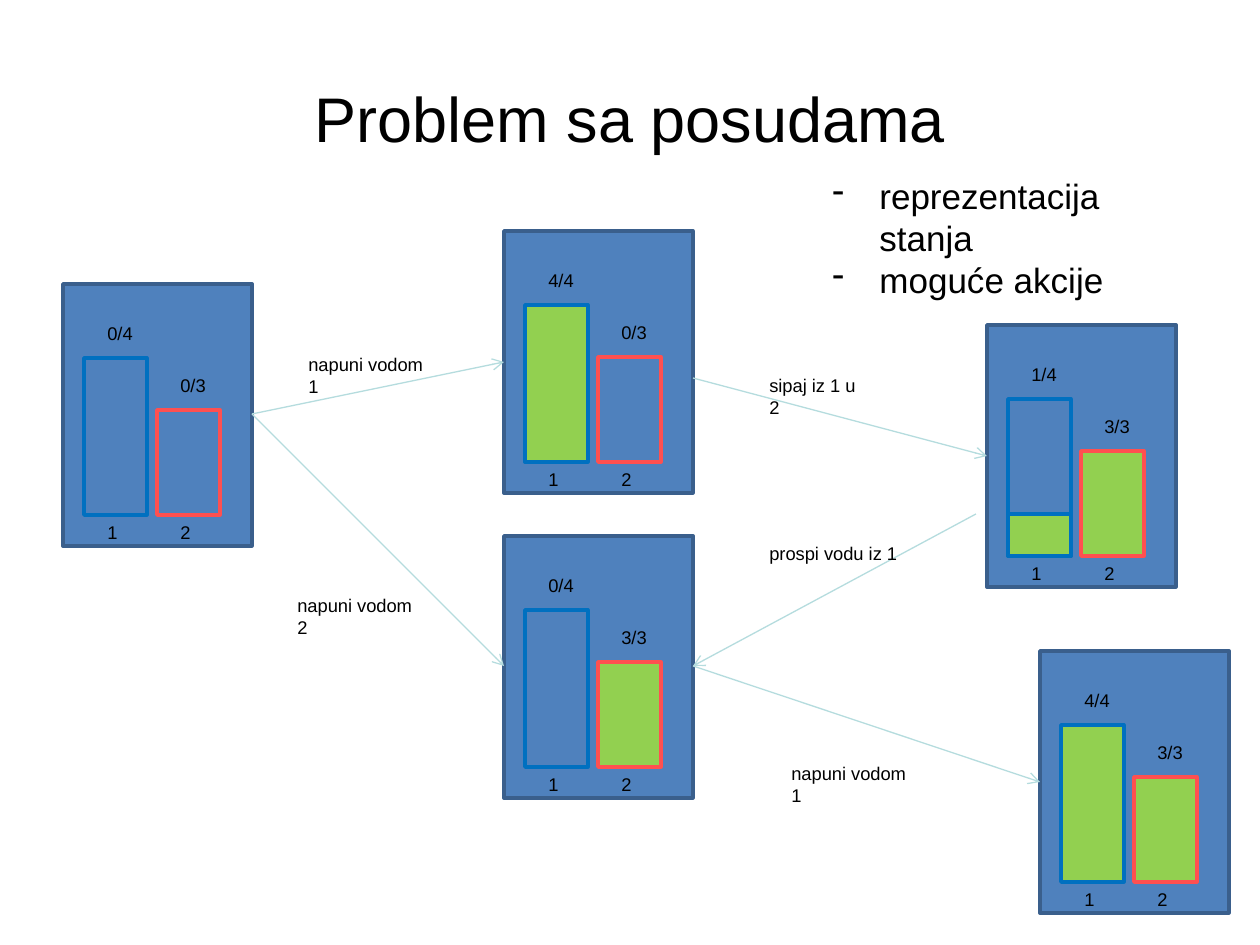
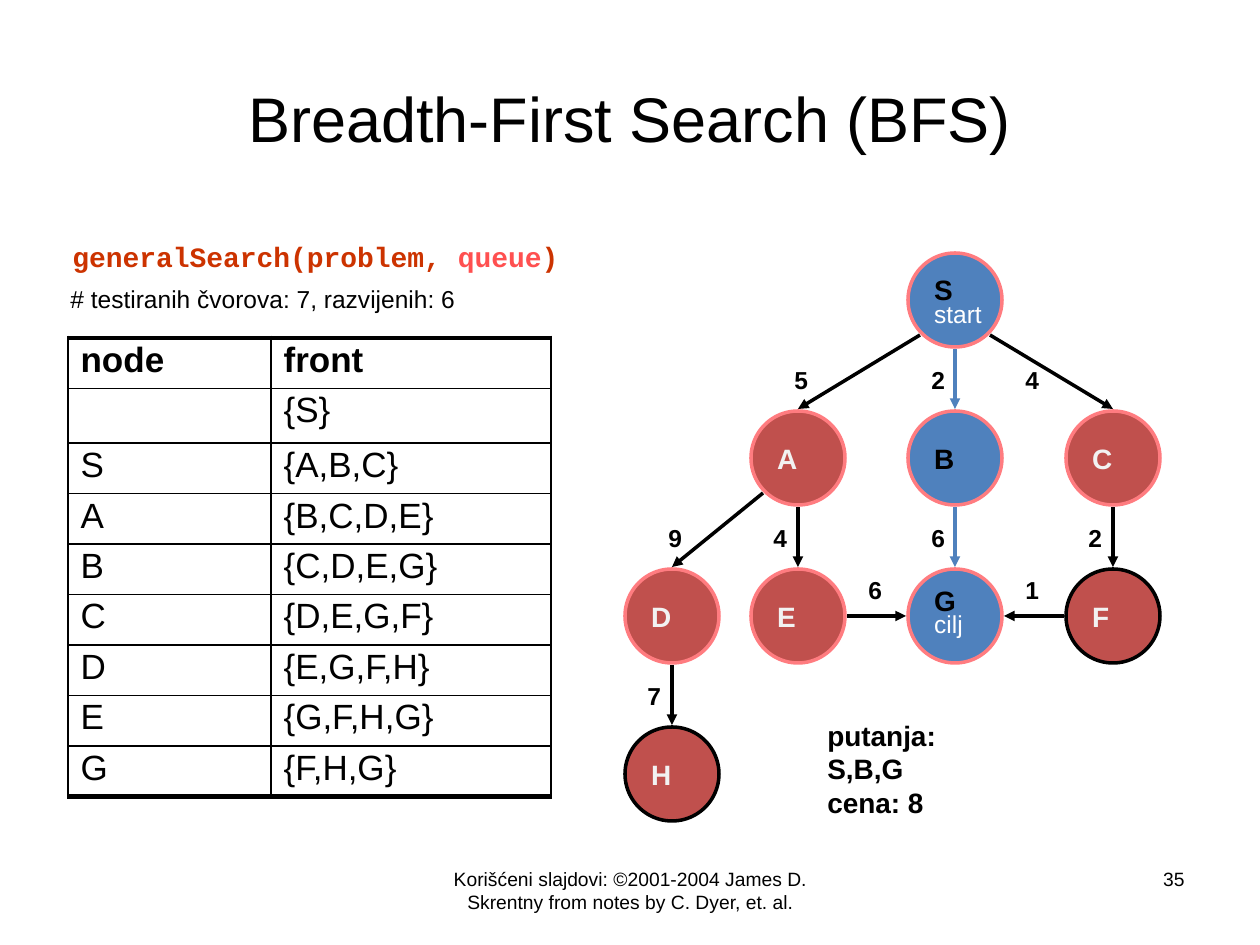
from dataclasses import dataclass
from math import hypot

from lxml.etree import SubElement
from pptx import Presentation
from pptx.dml.color import RGBColor
from pptx.enum.shapes import MSO_CONNECTOR as Connector, MSO_SHAPE as Preset
from pptx.enum.text import MSO_ANCHOR as Anchor, PP_ALIGN as Align
from pptx.oxml.ns import qn
from pptx.oxml.xmlchemy import OxmlElement
from pptx.shapes.autoshape import Shape
from pptx.slide import Slide
from pptx.text.text import TextFrame
from pptx.util import Emu, Pt

SCALE = 914400 / 126  # EMU in one pixel

BLACK, WHITE, PALE = "000000", "FFFFFF", "F2F2F2"
BLUE, RED, GREEN = "4F81BD", "C0504D", "92D050"
STATE_LINE, VESSEL_1_LINE, VESSEL_2_LINE = "3A5F8C", "0070C0", "FF5050"
ACTION_LINE, VISITED_LINE = "B5DCDE", "FF7C80"
CODE = "CC3300"

Box = tuple[int, int, int, int]
Point = tuple[int, int]


# Shared helpers
def px(length: float) -> Emu:
    return Emu(round(length * SCALE))


def color(value: str) -> RGBColor:
    return RGBColor.from_string(value)


def write(frame: TextFrame, text: str, *, size: float, ink: str = BLACK,
          bold: bool = False, font: str = "Arial", align: Align = Align.LEFT,
          spacing: float | None = None, bullet: str = "",
          same_line: bool = False) -> None:
    """Append text as a new paragraph, or as a run of the last one."""
    paragraph = frame.paragraphs[-1]
    if paragraph.runs and not same_line:
        paragraph = frame.add_paragraph()
    paragraph.alignment = align
    if spacing:
        paragraph.line_spacing = spacing
    if bullet:
        properties = paragraph._p.get_or_add_pPr()
        properties.set("marL", str(px(48)))
        properties.set("indent", str(px(-47)))
        SubElement(properties, qn("a:buChar"), char=bullet)
    if not text:
        SubElement(paragraph._p, qn("a:endParaRPr"), sz=str(int(size * 100)))
        return
    run = paragraph.add_run()
    run.text = text
    run.font.size = Pt(size)
    run.font.name = font
    run.font.bold = bold
    run.font.color.rgb = color(ink)


def add_frame(slide: Slide, box: Box, wrap: bool = False) -> TextFrame:
    frame = slide.shapes.add_textbox(*map(px, box)).text_frame
    frame.word_wrap = wrap
    return frame


def add_title(slide: Slide, text: str) -> None:
    frame = add_frame(slide, (63, 38, 1134, 158), wrap=True)
    frame.vertical_anchor = Anchor.MIDDLE
    write(frame, text, size=36, align=Align.CENTER)


def add_figure(slide: Slide, preset: Preset, box: Box, fill: str,
               outline: str) -> Shape:
    shape = slide.shapes.add_shape(preset, *map(px, box))
    shape.shadow.inherit = False
    shape.fill.solid()
    shape.fill.fore_color.rgb = color(fill)
    shape.line.color.rgb = color(outline)
    shape.line.width = Pt(2)
    return shape


def add_arrow(slide: Slide, start: Point, end: Point, ink: str, width: float,
              head: str) -> None:
    connector = slide.shapes.add_connector(
        Connector.STRAIGHT, *map(px, (*start, *end)))
    connector.line.color.rgb = color(ink)
    connector.line.width = Pt(width)
    properties = connector._element.spPr
    SubElement(properties.find(qn("a:ln")), qn("a:tailEnd"), type=head)
    SubElement(properties, qn("a:effectLst"))


# Slide 1: states of two vessels and the actions between them
STATE_WIDTH, STATE_HEIGHT = 189, 262
VESSEL_WIDTH, VESSEL_FLOOR = 63, 231
LEVEL_HEIGHT = 42
LABEL_SIZE, LABEL_HEIGHT = 10.5, 34


@dataclass(frozen=True)
class Vessel:
    number: int
    capacity: int
    offset: int
    height: int
    outline: str


@dataclass(frozen=True)
class State:
    left: int
    top: int
    amounts: tuple[int, int]


@dataclass(frozen=True)
class Action:
    text: str
    start: Point
    end: Point
    label: Box


VESSELS = (Vessel(1, 4, 21, 157, VESSEL_1_LINE),
           Vessel(2, 3, 94, 105, VESSEL_2_LINE))
STATES = (
    State(63, 284, (0, 0)),
    State(504, 231, (4, 0)),
    State(504, 536, (0, 3)),
    State(1040, 651, (4, 3)),
    State(987, 325, (1, 3)),
)
ACTIONS = (
    Action("napuni vodom 1", (252, 414), (504, 362), (296, 347, 154, 34)),
    Action("napuni vodom 2", (252, 414), (504, 666), (285, 588, 154, 34)),
    Action("napuni vodom 1", (693, 666), (1040, 782), (779, 756, 154, 34)),
    Action("sipaj iz 1 u 2", (693, 378), (987, 456), (757, 368, 126, 34)),
    Action("prospi vodu iz 1", (976, 514), (693, 666), (757, 536, 153, 34)),
)


def add_vessel(slide: Slide, state: State, vessel: Vessel, amount: int) -> None:
    left, floor = state.left + vessel.offset, state.top + VESSEL_FLOOR
    top = floor - vessel.height
    full = amount == vessel.capacity
    add_figure(slide, Preset.RECTANGLE,
               (left, top, VESSEL_WIDTH, vessel.height),
               GREEN if full else BLUE, vessel.outline)
    if amount and not full:
        height = amount * LEVEL_HEIGHT
        add_figure(slide, Preset.RECTANGLE,
                   (left, floor - height, VESSEL_WIDTH, height),
                   GREEN, vessel.outline)
    labels = ((str(vessel.number), floor, 35),
              (f"{amount}/{vessel.capacity}", top - 42, 51))
    for text, label_top, width in labels:
        frame = add_frame(slide, (left + 11, label_top, width, LABEL_HEIGHT))
        write(frame, text, size=LABEL_SIZE)


def build_vessels(slide: Slide) -> None:
    add_title(slide, "Problem sa posudama")
    topics = add_frame(slide, (819, 168, 388, 179), wrap=True)
    for text in ("reprezentacija stanja", "moguće akcije"):
        write(topics, text, size=20, bullet="-")
    for state in STATES:
        add_figure(slide, Preset.RECTANGLE,
                   (state.left, state.top, STATE_WIDTH, STATE_HEIGHT),
                   BLUE, STATE_LINE)
        for vessel, amount in zip(VESSELS, state.amounts):
            add_vessel(slide, state, vessel, amount)
    for action in ACTIONS:
        add_arrow(slide, action.start, action.end, ACTION_LINE, 0.75, "arrow")
        write(add_frame(slide, action.label), action.text, size=LABEL_SIZE)


# Slide 2: search table and search tree
NODE_SIZE, TREE_TOP, LEVEL_STEP = 94, 253, 158
REACH = 49  # distance of an arrow end from the node centre


@dataclass(frozen=True)
class Node:
    name: str
    left: int
    level: int
    fill: str = RED
    ink: str = PALE
    outline: str = VISITED_LINE
    caption: str = ""
    spacing: float | None = None

    @property
    def top(self) -> int:
        return TREE_TOP + self.level * LEVEL_STEP

    def port(self, across: int, down: int) -> Point:
        """Return the point just outside the node in a direction."""
        step = REACH / hypot(across, down)
        return (round(self.left + NODE_SIZE / 2 + across * step),
                round(self.top + NODE_SIZE / 2 + down * step))


@dataclass(frozen=True)
class Edge:
    source: str
    target: str
    cost: int
    cost_left: int
    ink: str = BLACK


NODES = (
    Node("S", 908, 0, BLUE, BLACK, caption="start"),
    Node("A", 751, 1),
    Node("B", 908, 1, BLUE, BLACK),
    Node("C", 1066, 1),
    Node("D", 625, 2),
    Node("E", 751, 2),
    Node("G", 908, 2, BLUE, BLACK, caption="cilj", spacing=0.65),
    Node("F", 1066, 2, outline=BLACK),
    Node("H", 625, 3, outline=BLACK),
)
EDGES = (
    Edge("S", "A", 5, 782),
    Edge("S", "B", 2, 919, BLUE),
    Edge("S", "C", 4, 1013),
    Edge("A", "D", 9, 656),
    Edge("A", "E", 4, 761),
    Edge("B", "G", 6, 919, BLUE),
    Edge("C", "F", 2, 1076),
    Edge("E", "G", 6, 856),
    Edge("F", "G", 1, 1013),
    Edge("D", "H", 7, 635),
)
ROWS = (("node", "front"), ("", "{S}"), ("S", "{A,B,C}"), ("A", "{B,C,D,E}"),
        ("B", "{C,D,E,G}"), ("C", "{D,E,G,F}"), ("D", "{E,G,F,H}"),
        ("E", "{G,F,H,G}"), ("G", "{F,H,G}"))
COLUMN_WIDTHS, ROW_HEIGHT = (203, 280), 46


def add_node(slide: Slide, node: Node) -> None:
    shape = add_figure(slide, Preset.OVAL,
                       (node.left, node.top, NODE_SIZE, NODE_SIZE),
                       node.fill, node.outline)
    frame = shape.text_frame
    frame.word_wrap = False
    frame.vertical_anchor = Anchor.MIDDLE
    write(frame, node.name, size=16, ink=node.ink, bold=True,
          spacing=node.spacing)
    if node.caption:
        write(frame, node.caption, size=14, ink=WHITE, spacing=0.75)


def add_edge(slide: Slide, edge: Edge, nodes: dict[str, Node]) -> None:
    source, target = nodes[edge.source], nodes[edge.target]
    across = (target.left > source.left) - (target.left < source.left)
    down = target.level - source.level
    end = target.port(0, -1) if down else target.port(-across, 0)
    add_arrow(slide, source.port(across, down), end, edge.ink, 2, "triangle")
    cost_top = source.top + (106 if down else 0)
    write(add_frame(slide, (edge.cost_left, cost_top, 39, 42)),
          str(edge.cost), size=14, bold=True)


def add_search_table(slide: Slide) -> None:
    table = slide.shapes.add_table(
        len(ROWS), len(COLUMN_WIDTHS), px(68), px(338),
        px(sum(COLUMN_WIDTHS)), px(ROW_HEIGHT * len(ROWS))).table
    table.first_row = table.horz_banding = False
    for column, width in zip(table.columns, COLUMN_WIDTHS):
        column.width = px(width)
    last = len(ROWS) - 1
    for index, texts in enumerate(ROWS):
        table.rows[index].height = px(ROW_HEIGHT)
        widths = {"L": 1, "R": 1, "T": 3 if index == 0 else 1,
                  "B": 3 if index == last else 1}
        for cell, text in zip(table.rows[index].cells, texts):
            cell.margin_right = px(3)
            cell.fill.background()
            write(cell.text_frame, text, size=20, bold=index == 0, spacing=0.9)
            properties = cell._tc.get_or_add_tcPr()
            for place, (side, width) in enumerate(widths.items()):
                border = OxmlElement(f"a:ln{side}")
                border.set("w", str(Pt(width)))
                fill = SubElement(border, qn("a:solidFill"))
                SubElement(fill, qn("a:srgbClr"), val=BLACK)
                properties.insert(place, border)


def build_search(slide: Slide) -> None:
    add_title(slide, "Breadth-First Search (BFS)")
    call = add_frame(slide, (60, 233, 512, 45))
    for text, ink in (("generalSearch(problem, ", CODE),
                      ("queue", VESSEL_2_LINE), (")", CODE)):
        write(call, text, size=16, ink=ink, bold=True, font="Courier New",
              same_line=True)
    write(add_frame(slide, (58, 278, 412, 42)),
          "# testiranih čvorova: 7, razvijenih: 6", size=14)
    add_search_table(slide)
    nodes = {node.name: node for node in NODES}
    for edge in EDGES:
        add_edge(slide, edge, nodes)
    for node in NODES:
        add_node(slide, node)
    result = add_frame(slide, (815, 712, 217, 79))
    for text in ("putanja: S,B,G", "cena: 8"):
        write(result, text, size=16, bold=True)
    # Footer and slide number
    write(add_frame(slide, (431, 861, 399, 66), wrap=True),
          "Korišćeni slajdovi: ©2001-2004 James D. Skrentny from notes by "
          "C. Dyer, et. al.", size=11, align=Align.CENTER)
    write(add_frame(slide, (903, 861, 294, 66), wrap=True), "35", size=11,
          align=Align.RIGHT)


presentation = Presentation()
presentation.slide_width, presentation.slide_height = px(1260), px(945)
for build in (build_vessels, build_search):
    build(presentation.slides.add_slide(presentation.slide_layouts[6]))
presentation.save("out.pptx")
